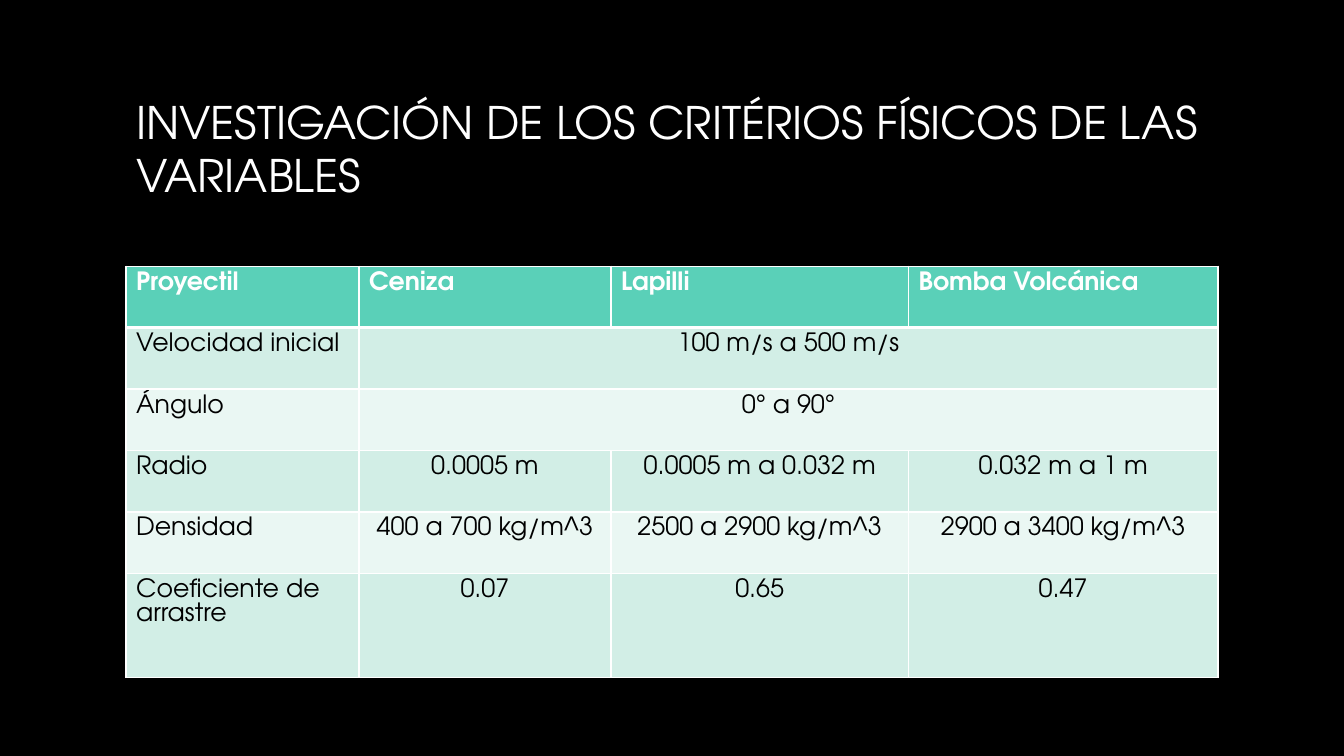
from lxml import etree
from pptx import Presentation
from pptx import util as u
from pptx.dml.color import RGBColor
from pptx.enum import text
from pptx.oxml import ns

FONT = "TeX Gyre Adventor"
COLORS = {
    "black": "000000",
    "white": "FFFFFF",
    "header": "5AD0B8",
    "dark band": "D2EEE6",
    "light band": "EAF7F3",
}


def add_text(paragraph, words, size, color, bold=False):
    run = paragraph.add_run()
    run.text = words
    run.font.name = FONT
    run.font.size = u.Pt(size)
    run.font.bold = bold
    run.font.color.rgb = RGBColor.from_string(COLORS[color])


def add_border(cell, side, width):
    line = etree.SubElement(cell._tc.get_or_add_tcPr(), ns.qn(f"a:ln{side}"), w=str(u.Pt(width)))
    fill = etree.SubElement(line, ns.qn("a:solidFill"))
    etree.SubElement(fill, ns.qn("a:srgbClr"), val=COLORS["white"])


presentation = Presentation()
presentation.slide_width = u.Inches(13.33)
presentation.slide_height = u.Inches(7.5)
slide = presentation.slides.add_slide(presentation.slide_layouts[5])
slide.background.fill.solid()
slide.background.fill.fore_color.rgb = RGBColor.from_string(COLORS["black"])

# Title
title = slide.shapes.title
title.left, title.top = u.Inches(1.25), u.Inches(0.67)
title.width, title.height = u.Inches(10.83), u.Inches(1.61)
title.text_frame.word_wrap = True
title.text_frame.auto_size = text.MSO_AUTO_SIZE.NONE
title.text_frame.vertical_anchor = text.MSO_ANCHOR.MIDDLE
paragraph = title.text_frame.paragraphs[0]
paragraph.alignment = text.PP_ALIGN.LEFT
paragraph.line_spacing = u.Pt(38)
add_text(paragraph, "INVESTIGACIÓN DE LOS CRITÉRIOS FÍSICOS DE LAS VARIABLES", 32, "white")

# Table of projectiles; a row with two entries spans its value over all projectiles
rows = [
    ["Proyectil", "Ceniza", "Lapilli", "Bomba Volcánica"],
    ["Velocidad inicial", "100 m/s a 500 m/s"],
    ["Ángulo", "0° a 90°"],
    ["Radio", "0.0005 m", "0.0005 m a 0.032 m", "0.032 m a 1 m"],
    ["Densidad", "400 a 700 kg/m^3", "2500 a 2900 kg/m^3", "2900 a 3400 kg/m^3"],
    ["Coeficiente de arrastre", "0.07", "0.65", "0.47"],
]
column_widths = [2.31, 2.5, 2.95, 3.07]
row_heights = [0.61] * 5 + [1.03]
table = slide.shapes.add_table(
    len(rows), len(column_widths),
    u.Inches(1.25), u.Inches(2.64), u.Inches(10.83), u.Inches(sum(row_heights)),
).table
table.horz_banding = False
for column, width in zip(table.columns, column_widths):
    column.width = u.Inches(width)
for row, height in zip(table.rows, row_heights):
    row.height = u.Inches(height)

for row_index, entries in enumerate(rows):
    is_header = row_index == 0
    band = "header" if is_header else "dark band" if row_index % 2 else "light band"
    if len(entries) == 2:
        table.cell(row_index, 1).merge(table.cell(row_index, 3))

    # Borders and fills
    for column_index in range(len(column_widths)):
        cell = table.cell(row_index, column_index)
        add_border(cell, "L", 1)
        add_border(cell, "R", 1)
        add_border(cell, "T", 3 if row_index == 1 else 1)
        add_border(cell, "B", 3 if is_header else 1)
        cell.fill.solid()
        cell.fill.fore_color.rgb = RGBColor.from_string(COLORS[band])

    # Entries
    for column_index, entry in enumerate(entries):
        paragraph = table.cell(row_index, column_index).text_frame.paragraphs[0]
        paragraph.line_spacing = u.Pt(17)
        if not is_header and column_index > 0:
            paragraph.alignment = text.PP_ALIGN.CENTER
        add_text(paragraph, entry, 18, "white" if is_header else "black", is_header)

presentation.save("out.pptx")
